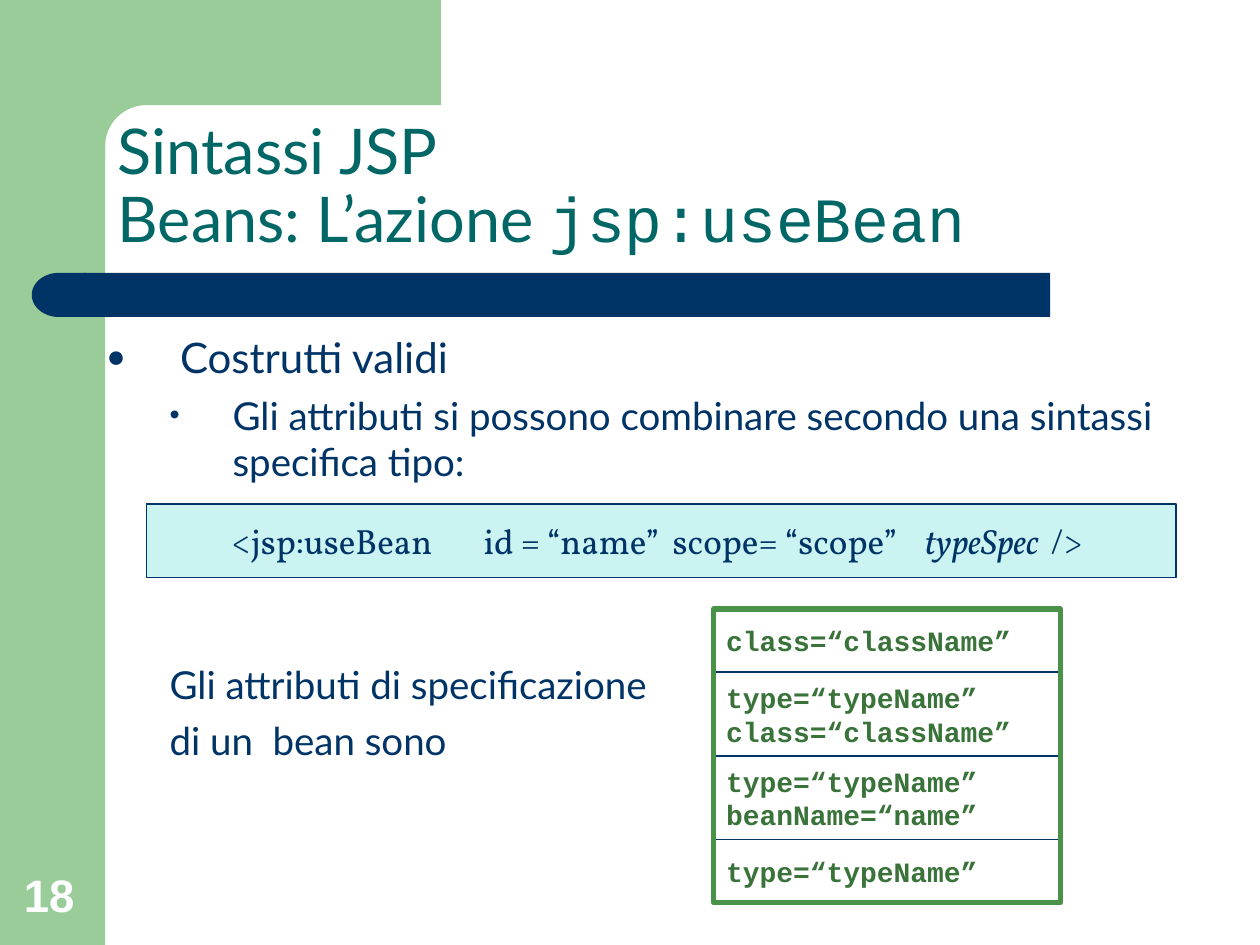
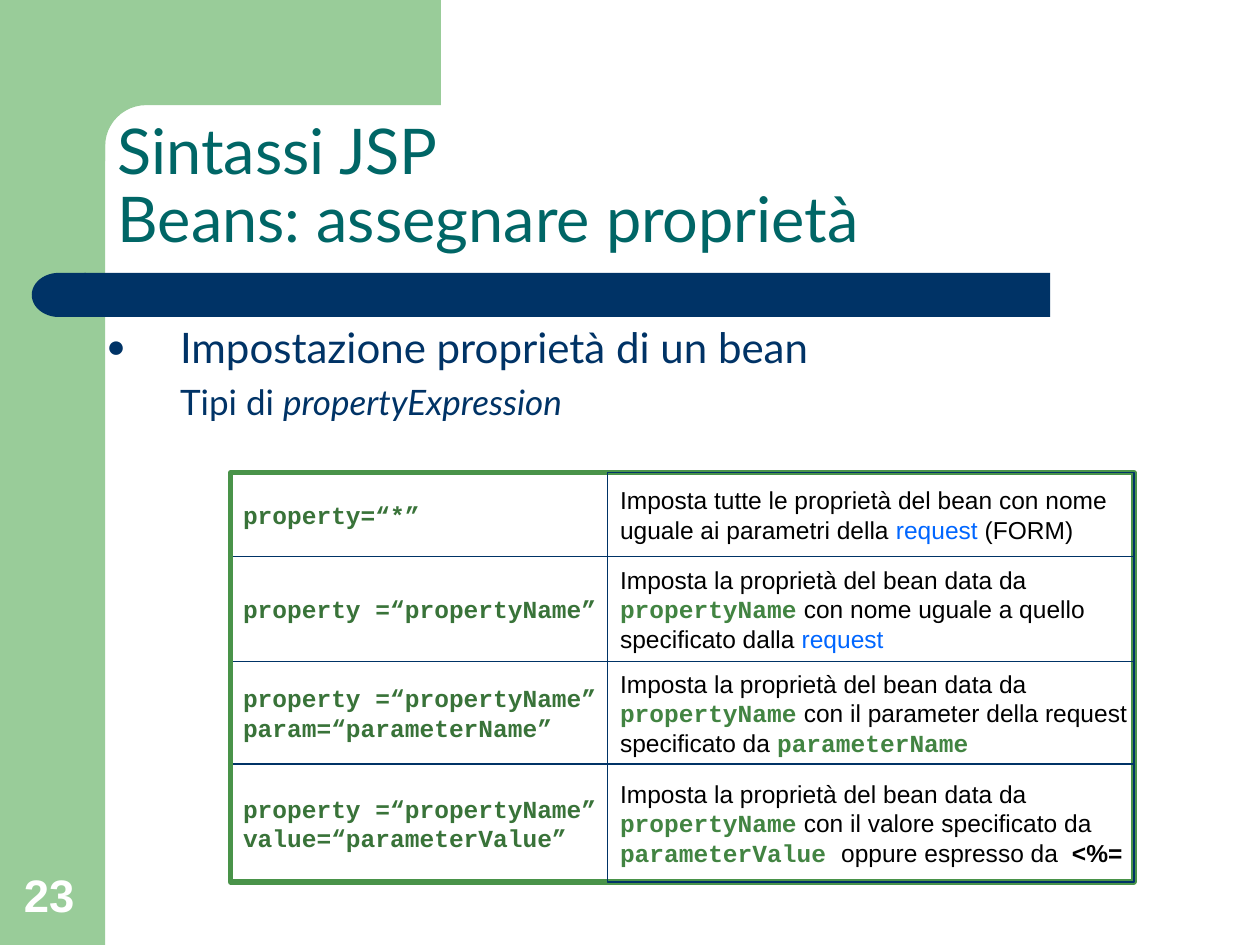
import math
from dataclasses import dataclass, field
from typing import Any, Optional

import pptx
import pptx.dml.color
import pptx.enum.shapes
import pptx.enum.text
import pptx.oxml.ns
import pptx.util
from lxml import etree

Cm = pptx.util.Cm
Pt = pptx.util.Pt
Kind = pptx.enum.shapes.MSO_SHAPE
Align = pptx.enum.text.PP_ALIGN
Anchor = pptx.enum.text.MSO_ANCHOR


@dataclass(frozen=True)
class Theme:
    green: str = "99CC99"
    navy: str = "003366"
    teal: str = "006666"
    pale: str = "CBF3F2"
    frame: str = "499349"
    code: str = "397339"
    term: str = "428442"
    link: str = "0066FF"
    black: str = "000000"
    white: str = "FFFFFF"
    sans: str = "Lato"
    serif: str = "Vollkorn"
    plain: str = "Arial"
    mono: str = "Courier New"
    title_size: int = 36
    gap_size: int = 32
    number_size: int = 26
    body_size: int = 24
    detail_size: int = 22
    note_size: int = 20
    attribute_size: int = 16
    cell_size: int = 14


THEME = Theme()


@dataclass(frozen=True)
class Style:
    name: str
    size: int
    color: str
    bold: bool = False
    italic: bool = False


@dataclass(frozen=True)
class Span:
    text: str
    style: Style


@dataclass(frozen=True)
class Line:
    spans: list[Span]
    margin: float = 0
    indent: float = 0
    bullet: str = ""
    tabs: tuple[float, ...] = ()
    format: dict[str, Any] = field(default_factory=dict)


@dataclass(frozen=True)
class Area:
    left: float
    top: float
    width: float
    height: float

    def lengths(self) -> list[pptx.util.Length]:
        return [Cm(value) for value in (self.left, self.top, self.width, self.height)]


@dataclass(frozen=True)
class Box:
    area: Area
    fill: Optional[str] = None
    line: Optional[str] = None
    weight: float = 0.75
    kind: Any = Kind.RECTANGLE
    rotation: int = 0


TITLE = Style(THEME.sans, THEME.title_size, THEME.teal)
TITLE_GAP = Style(THEME.plain, THEME.gap_size, THEME.teal)
TITLE_CODE = Style(THEME.mono, THEME.title_size, THEME.teal)
NUMBER = Style(THEME.plain, THEME.number_size, THEME.white, bold=True)
BODY = Style(THEME.sans, THEME.body_size, THEME.navy)
DETAIL = Style(THEME.sans, THEME.detail_size, THEME.navy)
NOTE = Style(THEME.sans, THEME.note_size, THEME.navy)
NOTE_ITALIC = Style(THEME.sans, THEME.note_size, THEME.navy, italic=True)
SYNTAX = Style(THEME.serif, THEME.note_size, THEME.navy)
SYNTAX_ITALIC = Style(THEME.serif, THEME.note_size, THEME.navy, italic=True)
ATTRIBUTE = Style(THEME.mono, THEME.attribute_size, THEME.code, bold=True)
PROPERTY = Style(THEME.mono, THEME.cell_size, THEME.code, bold=True)
CELL = Style(THEME.plain, THEME.cell_size, THEME.black)
CELL_BOLD = Style(THEME.plain, THEME.cell_size, THEME.black, bold=True)
CELL_LINK = Style(THEME.plain, THEME.cell_size, THEME.link)
TERM = Style(THEME.mono, THEME.cell_size, THEME.term, bold=True)

BAND = [
    Box(Area(0, 0, 2.12, 19.05), THEME.green),
    Box(Area(1.7, 5.5, 19.47, 0.89), THEME.navy),
    Box(Area(0.64, 5.5, 1.09, 0.89), THEME.navy, kind=Kind.FLOWCHART_DELAY, rotation=180),
]


def rgb(value: str) -> pptx.dml.color.RGBColor:
    return pptx.dml.color.RGBColor.from_string(value)


def apply(target: Any, values: dict[str, Any]) -> None:
    for name, value in values.items():
        setattr(target, name, value)


def add_mark(parent: Any, tag: str, **values: str) -> Any:
    return etree.SubElement(parent, pptx.oxml.ns.qn(tag), values)


def write_span(para: Any, span: Span) -> None:
    run = para.add_run()
    run.text = span.text
    style = span.style
    apply(run.font, {"name": style.name, "size": Pt(style.size),
                     "bold": style.bold, "italic": style.italic})
    run.font.color.rgb = rgb(style.color)


def write_line(para: Any, line: Line) -> None:
    apply(para, {"alignment": Align.LEFT, "space_before": Pt(0)} | line.format)
    properties = para._p.get_or_add_pPr()
    properties.set("marL", str(Cm(line.margin)))
    properties.set("indent", str(Cm(line.indent)))
    if line.bullet:
        color = add_mark(properties, "a:buClr")
        add_mark(color, "a:srgbClr", val=THEME.navy)
        add_mark(properties, "a:buSzPct", val="75000")
        add_mark(properties, "a:buFont", typeface=THEME.plain)
        add_mark(properties, "a:buChar", char=line.bullet)
    if line.tabs:
        stops = add_mark(properties, "a:tabLst")
        for stop in line.tabs:
            add_mark(stops, "a:tab", pos=str(Cm(stop)), algn="l")
    for span in line.spans:
        write_span(para, span)


def write_text(shape: Any, lines: list[Line], **values: Any) -> None:
    frame = shape.text_frame
    apply(frame, {
        "word_wrap": True, "auto_size": pptx.enum.text.MSO_AUTO_SIZE.NONE,
        "margin_left": Cm(0.25), "margin_right": Cm(0.25),
        "margin_top": Cm(0.13), "margin_bottom": Cm(0.13),
    } | values)
    for index, line in enumerate(lines):
        write_line(frame.add_paragraph() if index else frame.paragraphs[0], line)


def paint(shape: Any, box: Box) -> None:
    shape.shadow.inherit = False
    if box.fill:
        shape.fill.solid()
        shape.fill.fore_color.rgb = rgb(box.fill)
    else:
        shape.fill.background()
    if box.line:
        shape.line.color.rgb = rgb(box.line)
        shape.line.width = Pt(box.weight)
    else:
        shape.line.fill.background()


def draw_box(page: Any, box: Box) -> Any:
    shape = page.shapes.add_shape(box.kind, *box.area.lengths())
    shape.rotation = box.rotation
    paint(shape, box)
    return shape


def draw_text(page: Any, area: Area, lines: list[Line], **values: Any) -> None:
    write_text(page.shapes.add_textbox(*area.lengths()), lines, **values)


def draw_corner(page: Any) -> None:
    center, radius, steps = 2.95, 0.83, 12
    angles = [math.pi / 2 * step / steps for step in range(steps + 1)]
    arc = [(center - radius * math.sin(angle), center - radius * math.cos(angle))
           for angle in angles]
    points = [(8.89, 2.12), *arc, (2.12, 3.25), (1.27, 3.25), (1.27, 0)]
    builder = page.shapes.build_freeform(Cm(8.89), Cm(0))
    builder.add_line_segments([(Cm(x), Cm(y)) for x, y in points], close=True)
    paint(builder.convert_to_shape(), Box(Area(1.27, 0, 7.62, 3.25), THEME.green))


def draw_column(page: Any, left: float, top: float, width: float,
                heights: list[float], cells: list[list[Line]]) -> None:
    for height, lines in zip(heights, cells):
        box = Box(Area(left, top, width, height), line=THEME.navy)
        write_text(draw_box(page, box), lines, vertical_anchor=Anchor.MIDDLE, word_wrap=False)
        top += height


def draw_frame(page: Any, area: Area) -> None:
    draw_box(page, Box(area, line=THEME.frame, weight=3))


def add_page(deck: Any, number: str, heading: list[Span], title_width: float) -> Any:
    page = deck.slides.add_slide(deck.slide_layouts[5])
    for box in BAND:
        draw_box(page, box)
    draw_corner(page)
    title = page.shapes.title
    apply(title, dict(zip(("left", "top", "width", "height"),
                          Area(2.12, 2.12, title_width, 3.17).lengths())))
    opening = Line([Span("Sintassi JSP", TITLE)], format={"line_spacing": 0.9})
    write_text(title, [opening], vertical_anchor=Anchor.BOTTOM)
    para = title.text_frame.paragraphs[0]
    para.add_line_break()
    for span in heading:
        write_span(para, span)
    draw_text(page, Area(0.23, 17.35, 1.63, 1.35), [Line([Span(number, NUMBER)])],
              vertical_anchor=Anchor.BOTTOM)
    return page


def code_cells(texts: list[list[str]], style: Style) -> list[list[Line]]:
    return [[Line([Span(text, style)]) for text in cell] for cell in texts]


def main_point(text: str) -> Line:
    return Line([Span(text, BODY)], 1.48, -1.48, "●", format={"space_before": Pt(6)})


def add_use_bean(deck: Any) -> None:
    page = add_page(deck, "18", [Span("Beans: L’azione", TITLE), Span(" ", TITLE_GAP),
                                 Span("jsp:useBean", TITLE_CODE)], 22.01)
    draw_text(page, Area(1.9, 6.56, 21.59, 12.49), [
        main_point("Costrutti validi"),
        Line([Span("Gli attributi si possono combinare secondo una sintassi specifica tipo:",
                   DETAIL)], 2.54, -1.27, "•", format={"space_before": Pt(5.5)}),
        Line([Span("Gli attributi di specificazione", DETAIL)], 1.27,
             format={"space_before": Pt(101)}),
        Line([Span("di un  bean sono", DETAIL)], 1.27, format={"space_before": Pt(5.5)}),
    ])
    left, top, width, heights = 14.39, 12.28, 6.99, [1.27, 1.69, 1.69, 1.27]
    draw_column(page, left, top, width, heights, code_cells([
        ["class=“className”"],
        ["type=“typeName”", "class=“className”"],
        ["type=“typeName”", "beanName=“name”"],
        ["type=“typeName”"],
    ], ATTRIBUTE))
    draw_frame(page, Area(left, top, width, sum(heights)))
    syntax = draw_box(page, Box(Area(2.96, 10.16, 20.75, 1.48), THEME.pale, THEME.navy))
    write_text(syntax, [Line([
        Span("<jsp:useBean\tid = “name”\tscope= “scope”\t", SYNTAX),
        Span("typeSpec", SYNTAX_ITALIC), Span("\t/>", SYNTAX),
    ], tabs=(4.48, 8.43, 13.95, 16.69))], vertical_anchor=Anchor.MIDDLE, margin_left=Cm(1.71))


def bean_property(*lines: list[Span]) -> list[Line]:
    opening = [Span("Imposta la proprietà del bean data da", CELL)]
    return [Line(spans) for spans in (opening, *lines)]


def add_properties(deck: Any) -> None:
    page = add_page(deck, "23", [Span("Beans: assegnare proprietà", TITLE)], 23.28)
    draw_text(page, Area(1.9, 6.35, 21.59, 12.7), [
        main_point("Impostazione proprietà di un bean"),
        Line([Span("Tipi di ", NOTE), Span("propertyExpression", NOTE_ITALIC)], 1.48,
             format={"space_before": Pt(5)}),
    ])
    left, top, widths, heights = 4.65, 9.53, [7.6, 10.61], [1.69, 2.12, 2.06, 2.38]
    name = "property =“propertyName”"
    draw_column(page, left, top, widths[0], heights, code_cells([
        ["property=“*”"],
        [name],
        [name, "param=“parameterName”"],
        [name, "value=“parameterValue”"],
    ], PROPERTY))
    draw_frame(page, Area(left, top, sum(widths), sum(heights)))
    term, request = Span("propertyName", TERM), Span("request", CELL_LINK)
    draw_column(page, left + widths[0], top, widths[1], heights, [
        [Line([Span("Imposta tutte le proprietà del bean con nome", CELL)]),
         Line([Span("uguale ai parametri della ", CELL), request, Span(" (FORM)", CELL)])],
        bean_property([term, Span(" con nome uguale a quello", CELL)],
                      [Span("specificato dalla ", CELL), request]),
        bean_property([term, Span(" con il parameter della request", CELL)],
                      [Span("specificato da ", CELL), Span("parameterName", TERM)]),
        bean_property([term, Span(" con il valore specificato da", CELL)],
                      [Span("parameterValue ", TERM), Span("oppure espresso da  ", CELL),
                       Span("<%=", CELL_BOLD)]),
    ])


def main() -> None:
    deck = pptx.Presentation()
    apply(deck, {"slide_width": Cm(25.4), "slide_height": Cm(19.05)})
    add_use_bean(deck)
    add_properties(deck)
    deck.save("out.pptx")


if __name__ == "__main__":
    main()
